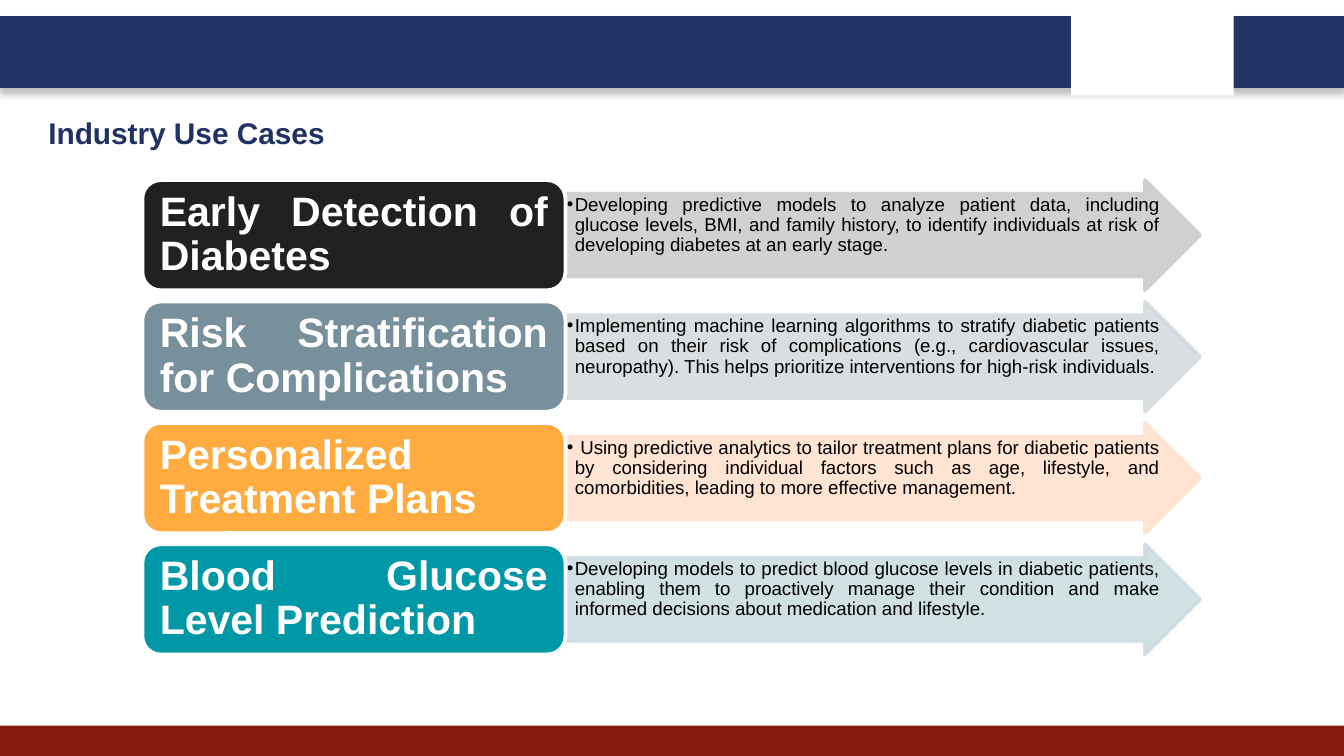
import pptx
import pptx.util
import pptx.dml.color
import pptx.enum.shapes
import pptx.enum.text
import pptx.oxml.ns
from lxml import etree

Inches, Pt = pptx.util.Inches, pptx.util.Pt
SHAPE = pptx.enum.shapes.MSO_SHAPE
ALIGN = pptx.enum.text.PP_ALIGN
ANCHOR = pptx.enum.text.MSO_ANCHOR
qn = pptx.oxml.ns.qn

COLORS = {
    "navy": "223366", "title": "213163", "red": "851910",
    "white": "FFFFFF", "black": "000000",
}
# label, label colour, arrow colour, description
USE_CASES = [
    ("Early Detection of Diabetes ", "212121", "CDCDCD",
     "Developing predictive models to analyze patient data, including glucose levels, BMI, "
     "and family history, to identify individuals at risk of developing diabetes at an early stage."),
    ("Risk Stratification for Complications ", "78909C", "D6DBDE",
     "Implementing machine learning algorithms to stratify diabetic patients based on their risk "
     "of complications (e.g., cardiovascular issues, neuropathy). This helps prioritize "
     "interventions for high-risk individuals."),
    ("Personalized Treatment Plans", "FFAB40", "FFE2CF",
     " Using predictive analytics to tailor treatment plans for diabetic patients by considering "
     "individual factors such as age, lifestyle, and comorbidities, leading to more effective "
     "management."),
    ("Blood Glucose Level Prediction ", "0097A7", "CCDDE1",
     "Developing models to predict blood glucose levels in diabetic patients, enabling them to "
     "proactively manage their condition and make informed decisions about medication and lifestyle."),
]


def rgb(value):
    return pptx.dml.color.RGBColor.from_string(value)


def add_block(s, kind, box, fill, line=None):
    sp = s.shapes.add_shape(kind, *map(Inches, box))
    sp.shadow.inherit = False
    sp.fill.solid()
    sp.fill.fore_color.rgb = rgb(fill)
    if line:
        sp.line.color.rgb = rgb(line)
        sp.line.width = Pt(2)
    else:
        sp.line.fill.background()
    return sp


def write(sp, text, color, insets, frame, para, font):
    """Fill a shape with one paragraph; insets run left, top, right, bottom."""
    tf = sp.text_frame
    sides = ("margin_left", "margin_top", "margin_right", "margin_bottom")
    frame = {"word_wrap": True, **dict(zip(sides, map(Inches, insets))), **frame}
    p = tf.paragraphs[0]
    r = p.add_run()
    r.text = text
    r.font.color.rgb = rgb(color)
    for obj, values in ((tf, frame), (p, para), (r.font, {"name": "Arial", **font})):
        for name, value in values.items():
            setattr(obj, name, value)
    return p


def add_alpha(sp, percent):
    """Make the fill and the line of a shape partly transparent."""
    for clr in sp._element.spPr.iter(qn("a:srgbClr")):
        etree.SubElement(clr, qn("a:alpha"), val=str(percent * 1000))


def add_drop_shadow(sp, blur, dist, percent):
    effects = sp._element.spPr.find(qn("a:effectLst"))
    shadow = etree.SubElement(effects, qn("a:outerShdw"), blurRad=str(Pt(blur)),
                              dist=str(Pt(dist)), dir="5400000", algn="t", rotWithShape="0")
    clr = etree.SubElement(shadow, qn("a:srgbClr"), val=COLORS["black"])
    etree.SubElement(clr, qn("a:alpha"), val=str(percent * 1000))


def add_bullet(p, indent, size):
    pPr = p._p.get_or_add_pPr()
    pPr.set("marL", str(Inches(indent)))
    pPr.set("indent", str(-Inches(indent)))
    clr = etree.SubElement(pPr, qn("a:buClr"))
    etree.SubElement(clr, qn("a:srgbClr"), val=COLORS["black"])
    etree.SubElement(pPr, qn("a:buFont"), typeface="Arial")
    etree.SubElement(pPr, qn("a:buChar"), char="•")
    etree.SubElement(p._p, qn("a:endParaRPr"), sz=str(size * 100))


def add_bands(s, width, height):
    """Header bar with its white notch, and the footer bar."""
    bar = add_block(s, SHAPE.RECTANGLE, (0, 0.13, width, 0.51), COLORS["navy"], COLORS["navy"])
    add_drop_shadow(bar, 4, 3, 25)
    add_block(s, SHAPE.RECTANGLE, (0, 5.4, width, height - 5.4), COLORS["red"])
    add_block(s, SHAPE.RECTANGLE, (7.97, 0.07, 1.21, 0.64), COLORS["white"])


def add_title(s, text, box):
    sp = s.shapes.title
    sp.left, sp.top, sp.width, sp.height = map(Inches, box)
    write(sp, text, COLORS["title"], [0.1] * 4, {"vertical_anchor": ANCHOR.TOP},
          {"alignment": ALIGN.LEFT}, {"size": Pt(16), "bold": True})


def add_use_case(s, box, label, label_color, arrow_color, description):
    """A rounded label followed by an arrow that holds the description."""
    left, top, width, height = box
    label_width = width * 0.4
    para = {"alignment": ALIGN.JUSTIFY, "line_spacing": 0.9}

    arrow = add_block(s, SHAPE.RIGHT_ARROW,
                      (left + label_width, top, width - label_width, height),
                      arrow_color, arrow_color)
    arrow.adjustments[0], arrow.adjustments[1] = 0.75, 0.5
    add_alpha(arrow, 90)
    p = write(arrow, description, COLORS["black"], (0.01, 0.01, 0, 0.01),
              {"vertical_anchor": ANCHOR.TOP}, para, {"size": Pt(10)})
    add_bullet(p, 0.06, 10)

    tag = add_block(s, SHAPE.ROUNDED_RECTANGLE, (left, top, label_width, height),
                    label_color, COLORS["white"])
    write(tag, label, COLORS["white"], (0.09, 0.05, 0.09, 0.05),
          {"vertical_anchor": ANCHOR.MIDDLE}, para, {"size": Pt(22), "bold": True})


def add_use_cases(s, box):
    left, top, width, height = box
    row = 0.82
    pitch = (height - row) / (len(USE_CASES) - 1)
    for i, case in enumerate(USE_CASES):
        add_use_case(s, (left, top + i * pitch, width, row), *case)


def main():
    width = 10
    height = width * 9 / 16
    prs = pptx.Presentation()
    prs.slide_width, prs.slide_height = Inches(width), Inches(height)
    s = prs.slides.add_slide(prs.slide_layouts.get_by_name("Title Only"))
    add_bands(s, width, height)
    add_title(s, "Industry Use Cases", (0.26, 0.75, 3.21, 0.35))
    add_use_cases(s, (1.06, 1.34, 7.87, 3.53))
    prs.save("out.pptx")


if __name__ == "__main__":
    main()
